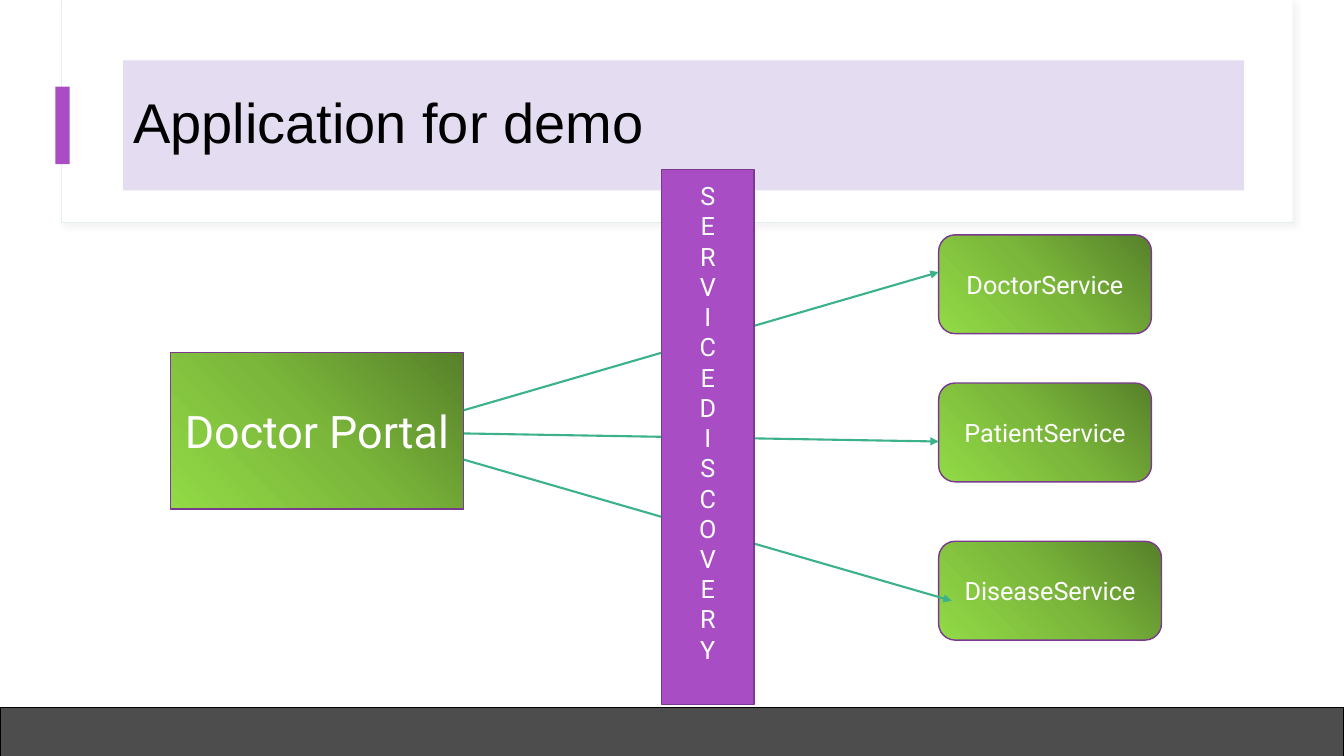
from copy import deepcopy

from lxml.etree import SubElement
from pptx import Presentation
from pptx.dml.color import RGBColor
from pptx.enum.shapes import MSO_CONNECTOR, MSO_SHAPE
from pptx.enum.text import MSO_ANCHOR, MSO_AUTO_SIZE, PP_ALIGN
from pptx.oxml.ns import qn
from pptx.util import Inches, Pt

PURPLE, EDGE, WHITE = "A84DC3", "7C3990", "FFFFFF"
GREENS = ("57812A", "7BB73B", "92DA46")


def paint(color, code):
    """Set a colour from a hex string."""
    color.rgb = RGBColor.from_string(code)


def block(slide, box, fill, edge=None, width=1, kind=MSO_SHAPE.RECTANGLE):
    """Add a shape; a tuple of colours gives a gradient."""
    shape = slide.shapes.add_shape(kind, *map(Inches, box))
    shape.shadow.inherit = False
    if isinstance(fill, tuple):
        blend(shape.fill, fill)
    else:
        shape.fill.solid()
        paint(shape.fill.fore_color, fill)
    if edge:
        paint(shape.line.color, edge)
        shape.line.width = Pt(width)
    else:
        shape.line.fill.background()
    return shape


def blend(fill, codes):
    """Fill with evenly spaced stops, running from top right to bottom left."""
    fill.gradient()
    fill.gradient_angle = 225
    first = fill.gradient_stops[0]
    stops = fill._fill._gradFill.find(qn("a:gsLst"))
    stops.insert(1, deepcopy(stops[0]))
    for i, (stop, code) in enumerate(zip(fill.gradient_stops, codes)):
        stop.position = i / (len(codes) - 1)
        paint(stop.color, code)


def style(frame, size, font, code, align):
    """Format every paragraph and run of a text frame."""
    for para in frame.paragraphs:
        para.alignment = align
        for run in para.runs:
            run.font.size = Pt(size)
            run.font.name = font
            paint(run.font.color, code)


def label(shape, text, size):
    """Write centred white text in a shape."""
    frame = shape.text_frame
    frame.text = text
    frame.word_wrap = True
    frame.vertical_anchor = MSO_ANCHOR.MIDDLE
    style(frame, size, "Roboto", WHITE, PP_ALIGN.CENTER)


def shade(shape):
    """Give a shape a faint shadow to the lower right."""
    effects = shape.element.spPr.find(qn("a:effectLst"))
    outer = SubElement(effects, qn("a:outerShdw"), blurRad=str(Pt(4)),
                       dist=str(Pt(3)), dir="2700000", algn="tl", rotWithShape="0")
    tint = SubElement(outer, qn("a:srgbClr"), val="D9D9D9")
    SubElement(tint, qn("a:alpha"), val="30000")


def header(slide, box, text):
    """Draw the framed title band with its purple tab."""
    x, y, w, h = box
    shade(block(slide, (x, y, w, h), WHITE, "E4EFF0", 0.75))
    block(slide, (x + 0.01, y, w - 0.01, h - 0.01), WHITE)
    block(slide, (x - 0.06, y + 0.86, 0.14, 0.77), PURPLE)
    title = slide.shapes.title
    title.left, title.top = Inches(x + 0.61), Inches(y + 0.6)
    title.width, title.height = Inches(w - 1.09), Inches(1.29)
    title.fill.solid()
    paint(title.fill.fore_color, "E4DDF1")
    frame = title.text_frame
    frame.text = text
    frame.auto_size = MSO_AUTO_SIZE.NONE
    frame.vertical_anchor = MSO_ANCHOR.MIDDLE
    frame.paragraphs[0].line_spacing = 0.9
    style(frame, 40, "Arial", "000000", PP_ALIGN.LEFT)
    slide.shapes.element.append(title.element)


def arrow(slide, start, end):
    """Draw a green line with an arrowhead at its end."""
    line = slide.shapes.add_connector(MSO_CONNECTOR.STRAIGHT, *map(Inches, start + end))
    paint(line.line.color, "3BB18C")
    line.line.width = Pt(1.5)
    SubElement(line.line._get_or_add_ln(), qn("a:tailEnd"), type="triangle")
    SubElement(line.element.spPr, qn("a:effectLst"))


def pillar(slide, box, text):
    """Draw the bar whose text runs down one letter a line."""
    bar = block(slide, box, PURPLE, EDGE)
    label(bar, "\n".join(text), 18)
    bar.text_frame.vertical_anchor = MSO_ANCHOR.TOP
    bar.text_frame.margin_top = Inches(0.11)


def diagram(slide, box):
    """Draw the portal, the services, their arrows and the discovery bar."""
    x, y, w, h = box
    portal = block(slide, (x, y + 1.82, 2.91, 1.55), GREENS, EDGE)
    label(portal, "Doctor Portal", 32)
    left = x + 7.62
    services = (("DoctorService", 0.65, 2.11), ("PatientService", 2.12, 2.11),
                ("DiseaseService", 3.69, 2.21))
    for name, drop, width in services:
        card = block(slide, (left, y + drop, width, 0.98), GREENS, EDGE,
                     kind=MSO_SHAPE.ROUNDED_RECTANGLE)
        label(card, name, 18)
    for out, into, inset in ((2.39, 1.02, 0), (2.62, 2.7, 0), (2.88, 4.28, 0.13)):
        arrow(slide, (x + 2.91, y + out), (left + inset, y + into))
    pillar(slide, (x + 4.87, y, 0.92, h), "SERVICEDISCOVERY")


def main():
    """Build and save the slide."""
    deck = Presentation()
    deck.slide_width, deck.slide_height = Inches(13.33), Inches(7.5)
    slide = deck.slides.add_slide(deck.slide_layouts[5])
    header(slide, (0.61, 0, 12.21, 2.21), "Application for demo")
    block(slide, (0, 7.02, 13.33, 0.5), "4D4D4D", "000000")
    diagram(slide, (1.69, 1.68, 9.83, 5.31))
    deck.save("out.pptx")


if __name__ == "__main__":
    main()
